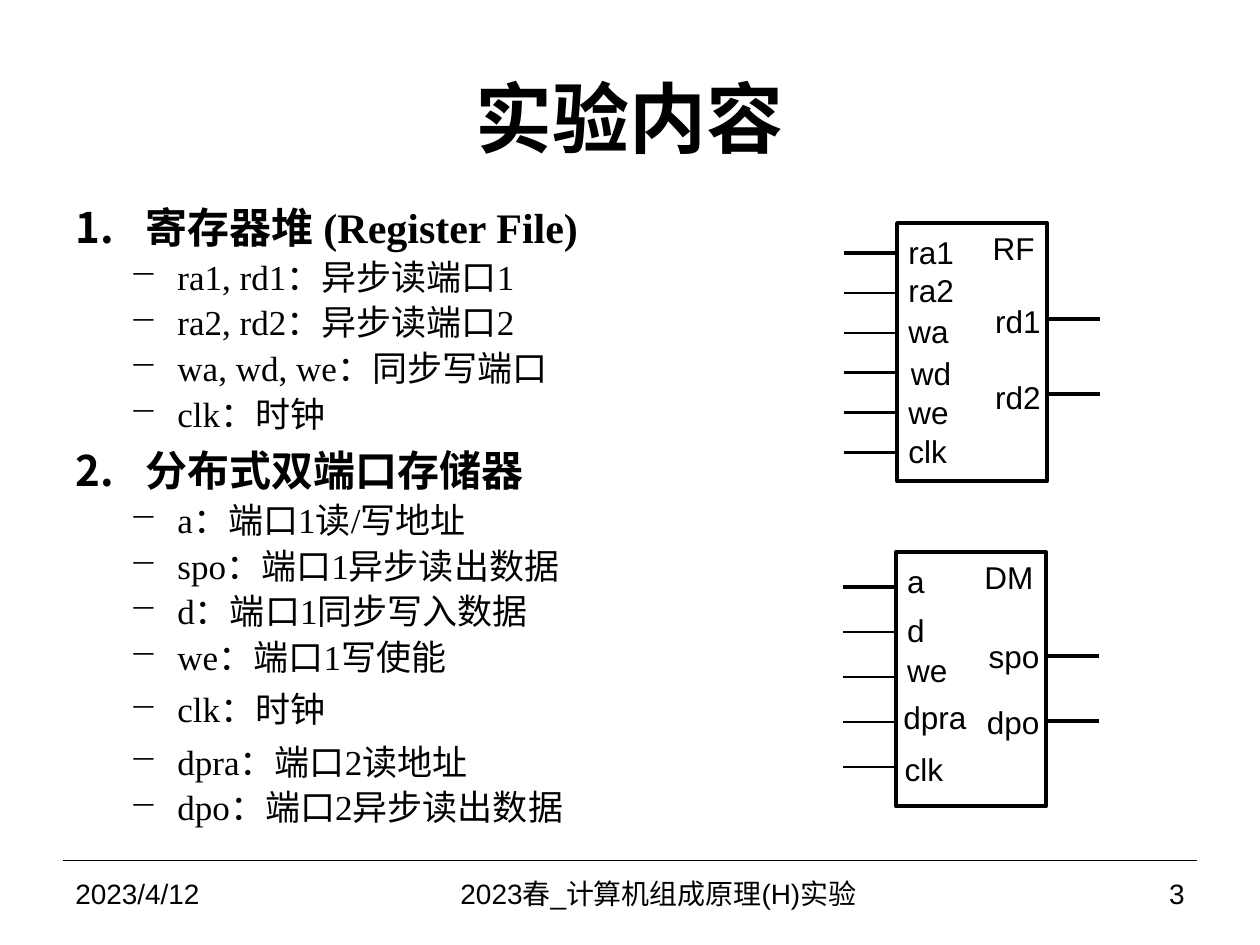
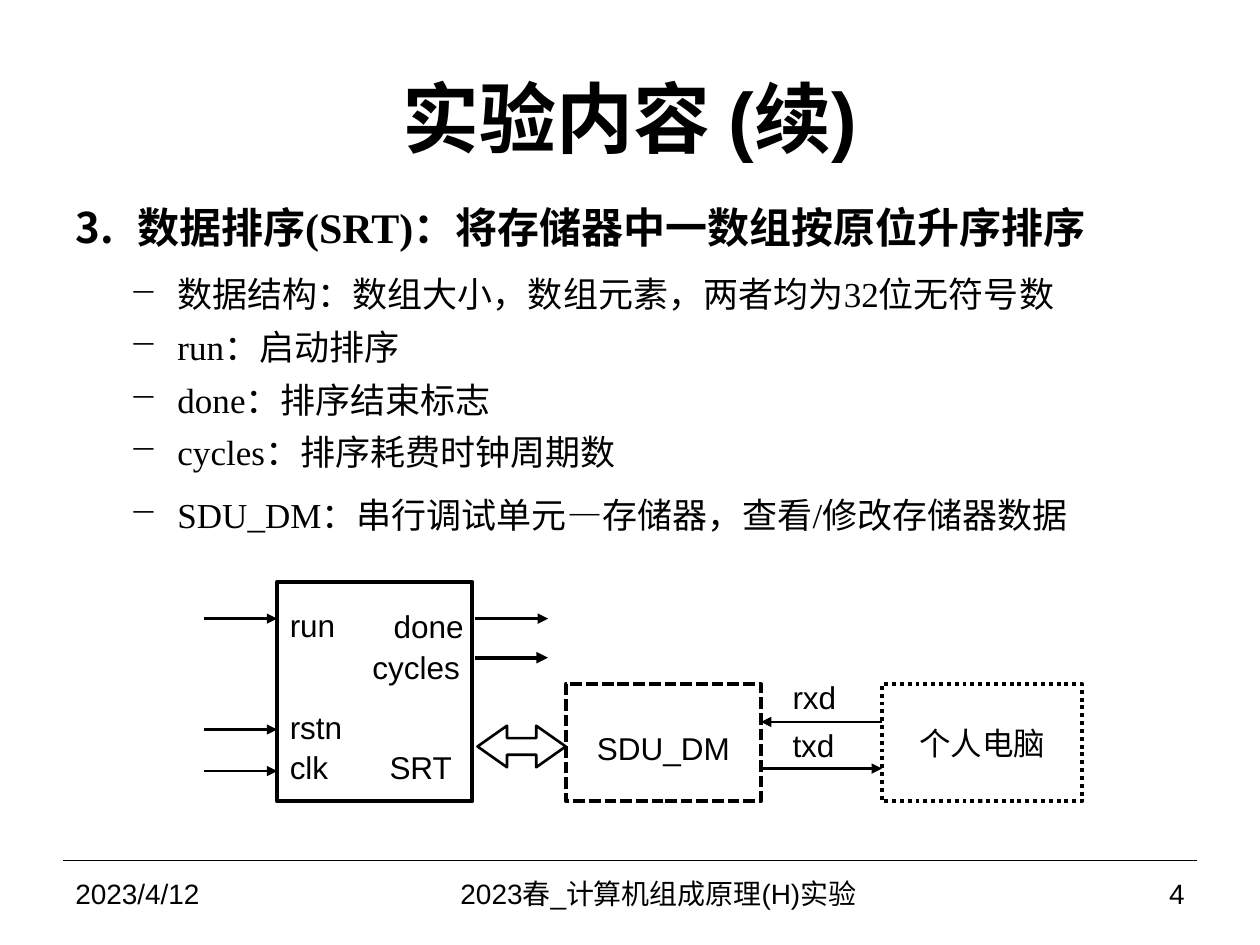
from lxml import etree
from pptx import Presentation
from pptx.dml.color import RGBColor
from pptx.enum.dml import MSO_LINE
from pptx.enum.shapes import MSO_CONNECTOR, MSO_SHAPE
from pptx.enum.text import MSO_ANCHOR, PP_ALIGN
from pptx.oxml.ns import qn
from pptx.util import Inches, Pt

LEFT, CENTER, RIGHT = PP_ALIGN.LEFT, PP_ALIGN.CENTER, PP_ALIGN.RIGHT
TOP, MIDDLE, BOTTOM = MSO_ANCHOR.TOP, MSO_ANCHOR.MIDDLE, MSO_ANCHOR.BOTTOM
RECTANGLE, DOUBLE_ARROW = MSO_SHAPE.RECTANGLE, MSO_SHAPE.LEFT_RIGHT_ARROW
DASHED, DOTTED = MSO_LINE.SQUARE_DOT, MSO_LINE.ROUND_DOT
STRAIGHT = MSO_CONNECTOR.STRAIGHT

BLACK = "000000"
SANS, SERIF = "Arial", "Times New Roman"
WIDTH, HEIGHT = 10, 7.5
MARGIN = 0.05 * WIDTH
CONTENT_WIDTH = WIDTH - 2 * MARGIN
FOOTER_TOP, FOOTER_HEIGHT = 6.83, 0.52
BODY_TOP = 1.55
DEFAULT_INSETS = (0.1, 0.05, 0.1, 0.05)
NO_INSETS = (0, 0, 0, 0)
THIN, THICK = 1.5, 2.25
LABEL_HEIGHT = 0.3
WIRE = 0.42      # length of a pin of a memory block
ARROW = 0.58     # length of a signal of the sorter


def color(hex_string):
    """Turn a hex string into a colour."""
    return RGBColor.from_string(hex_string)


def inches(*lengths):
    """Convert lengths in inches to slide units."""
    return [Inches(length) for length in lengths]


def format_runs(paragraph, size, font=SANS, bold=False):
    """Give every run of a paragraph its font."""
    for run in paragraph.runs:
        run.font.size = Pt(size)
        run.font.name = font
        run.font.bold = bold
        run.font.color.rgb = color(BLACK)


def set_text(shape, text, size, align, anchor, insets, wrap=True, bold=False):
    """Write one formatted paragraph into a shape."""
    frame = shape.text_frame
    frame.text = text
    frame.word_wrap = wrap
    frame.vertical_anchor = anchor
    (frame.margin_left, frame.margin_top,
     frame.margin_right, frame.margin_bottom) = inches(*insets)
    paragraph = frame.paragraphs[0]
    paragraph.alignment = align
    format_runs(paragraph, size, bold=bold)


def add_text(shapes, box, text, size, align=LEFT, insets=DEFAULT_INSETS,
             bold=False):
    """Add a vertically centred text box."""
    shape = shapes.add_textbox(*inches(*box))
    set_text(shape, text, size, align, MIDDLE, insets, bold=bold)


def add_label(shapes, text, x, center, align=LEFT):
    """Add a signal name whose left or right edge lies at x."""
    width = 0.9
    left = x - width if align == RIGHT else x
    box = (left, center - LABEL_HEIGHT / 2, width, LABEL_HEIGHT)
    add_text(shapes, box, text, 18, align, NO_INSETS)


def add_outline(shapes, kind, box, weight, dash=None):
    """Add an unfilled black shape."""
    shape = shapes.add_shape(kind, *inches(*box))
    shape.shadow.inherit = False
    shape.fill.background()
    shape.line.color.rgb = color(BLACK)
    shape.line.width = Pt(weight)
    if dash:
        shape.line.dash_style = dash
    return shape


def add_block(shapes, box, text, align, anchor=TOP, insets=DEFAULT_INSETS,
              dash=None):
    """Add a rectangle of the block diagram with its name."""
    shape = add_outline(shapes, RECTANGLE, box, THICK, dash)
    set_text(shape, text, 18, align, anchor, insets, wrap=False)


def add_line(shapes, start, end, y, weight, arrow=False):
    """Add a level line, optionally with an arrowhead at its end."""
    line = shapes.add_connector(STRAIGHT, *inches(start, y, end, y))
    line.line.color.rgb = color(BLACK)
    line.line.width = Pt(weight)
    if arrow:
        etree.SubElement(line.line._get_or_add_ln(), qn("a:tailEnd"),
                         type="triangle")
    etree.SubElement(line._element.spPr, qn("a:effectLst"))


def set_bullet(paragraph, level, indent, hanging, start):
    """Number a heading or put a dash before an item."""
    properties = paragraph._p.get_or_add_pPr()
    properties.set("marL", str(Inches(indent)))
    properties.set("indent", str(-Inches(hanging)))
    if level:
        etree.SubElement(properties, qn("a:buChar"), char="−")
        return
    number = etree.SubElement(properties, qn("a:buAutoNum"),
                              type="arabicPeriod")
    if start > 1:
        number.set("startAt", str(start))


def add_outline_text(slide, width, height, heading_indent, items, start=1):
    """Add the list; items hold level, text, space before and after."""
    box = slide.shapes.add_textbox(*inches(MARGIN, BODY_TOP, width, height))
    frame = box.text_frame
    frame.word_wrap = True
    frame.text = "\n".join(text for _, text, _, _ in items)
    for paragraph, (level, _, before, after) in zip(frame.paragraphs, items):
        paragraph.level = level
        paragraph.space_before = Pt(before)
        paragraph.space_after = Pt(after)
        indent, hanging = (0.81, 0.38) if level else (heading_indent,) * 2
        set_bullet(paragraph, level, indent, hanging, start)
        format_runs(paragraph, 20 if level else 24, SERIF, not level)


def add_slide(presentation, title, number):
    """Add a slide with title, footer rule and footer texts."""
    slide = presentation.slides.add_slide(presentation.slide_layouts[6])
    shapes = slide.shapes
    add_line(shapes, MARGIN, WIDTH - MARGIN, FOOTER_TOP, 0.75)
    add_text(shapes, (MARGIN, 0.04 * HEIGHT, CONTENT_WIDTH, 1.25), title, 44,
             CENTER, bold=True)
    left = MARGIN
    for text, width, align in (("2023/4/12", 2.33, LEFT),
                               ("2023春_计算机组成原理(H)实验 ", 4.84, CENTER),
                               (str(number), 1.83, RIGHT)):
        add_text(shapes, (left, FOOTER_TOP, width, FOOTER_HEIGHT), text, 16,
                 align)
        left += width
    return slide


def add_memory(slide, name, box, first_wire, pitch, inputs, outputs):
    """Add a memory block; pins hold a name, a label centre and a place."""
    shapes = slide.shapes.add_group_shape().shapes
    left, _, width, _ = box
    right = left + width
    add_block(shapes, box, name, RIGHT)
    for row, (text, center, offset) in enumerate(inputs):
        add_line(shapes, left - WIRE, left, first_wire + row * pitch,
                 THIN if row else THICK)
        add_label(shapes, text, left + offset, center)
    for text, center, wire in outputs:
        add_line(shapes, right, right + WIRE, wire, THICK)
        add_label(shapes, text, right - 0.05, center, RIGHT)


def add_sorter(slide):
    """Add the sorter block with its signals."""
    shapes = slide.shapes.add_group_shape().shapes
    left, width = 2.2, 1.55
    right = left + width
    add_block(shapes, (left, 4.62, width, 1.74), "SRT ", RIGHT, BOTTOM,
              (0, 0.05, 0.1, 0.12))
    for text, center, wire in (("run", 4.96, 4.91), ("rstn", 5.77, 5.79),
                               ("clk", 6.09, 6.12)):
        add_line(shapes, left - ARROW, left, wire, THIN, arrow=True)
        add_label(shapes, text, left + 0.1, center)
    for text, center, wire, edge, weight in (
            ("done", 4.97, 4.91, 3.68, THIN),
            ("cycles", 5.29, 5.22, 3.65, THICK)):
        add_line(shapes, right + 0.02, right + 0.02 + ARROW, wire, weight,
                 arrow=True)
        add_label(shapes, text, edge, center, RIGHT)


def add_debug_link(slide):
    """Add the debug unit, the computer and the links between them."""
    shapes = slide.shapes.add_group_shape().shapes
    top, height = 5.43, 0.93
    unit_left, unit_right, computer_left = 4.49, 6.04, 7
    add_block(shapes, (unit_left, top, unit_right - unit_left, height),
              "SDU_DM", CENTER, MIDDLE, (0, 0.08, 0, 0), DASHED)
    add_block(shapes, (computer_left, top, 1.59, height), "个人电脑", CENTER,
              MIDDLE, NO_INSETS, DOTTED)
    for text, center, wire, start, end in (
            ("rxd", 5.53, 5.73, computer_left, unit_right),
            ("txd", 5.91, 6.1, unit_right, computer_left)):
        add_line(shapes, start, end, wire, THIN, arrow=True)
        add_label(shapes, text, 6.29, center)
    arrow = add_outline(shapes, DOUBLE_ARROW, (3.79, 5.76, 0.7, 0.33), THIN)
    arrow.adjustments[0], arrow.adjustments[1] = 0.4, 0.71


def build_memories(presentation):
    """Build the slide on the register file and the memory."""
    slide = add_slide(presentation, "实验内容", 3)
    add_outline_text(slide, 4.58, 5.28, 0.56, [
        (0, "寄存器堆 (Register File)", 0, 0),
        (1, "ra1, rd1：异步读端口1", 2, 0),
        (1, "ra2, rd2：异步读端口2", 2, 0),
        (1, "wa, wd, we：同步写端口", 2, 0),
        (1, "clk：时钟", 2, 0),
        (0, "分布式双端口存储器", 6, 0),
        (1, "a：端口1读/写地址", 2, 0),
        (1, "spo：端口1异步读出数据", 2, 0),
        (1, "d：端口1同步写入数据", 2, 0),
        (1, "we：端口1写使能", 2, 0),
        (1, "clk：时钟", 6, 0),
        (1, "dpra：端口2读地址", 6, 0),
        (1, "dpo：端口2异步读出数据", 2, 0)])
    add_memory(slide, "RF", (7.12, 1.77, 1.19, 2.05), 2.01, 0.316,
               [("ra1", 2, 0.09), ("ra2", 2.3, 0.09), ("wa", 2.63, 0.09),
                ("wd", 2.96, 0.11), ("we", 3.27, 0.09), ("clk", 3.58, 0.09)],
               [("rd1", 2.55, 2.53), ("rd2", 3.15, 3.13)])
    add_memory(slide, "DM", (7.11, 4.38, 1.19, 2.02), 4.66, 0.357,
               [("a", 4.61, 0.09), ("d", 5, 0.09), ("we", 5.32, 0.09),
                ("dpra", 5.69, 0.06), ("clk", 6.1, 0.07)],
               [("spo", 5.21, 5.21), ("dpo", 5.73, 5.72)])


def build_sorting(presentation):
    """Build the slide on sorting."""
    slide = add_slide(presentation, "实验内容 (续)", 4)
    add_outline_text(slide, 8.91, 5.19, 0.49, [
        (0, "数据排序(SRT)：将存储器中一数组按原位升序排序", 0, 6),
        (1, "数据结构：数组大小，数组元素，两者均为32位无符号数", 6, 0),
        (1, "run：启动排序", 6, 0),
        (1, "done：排序结束标志", 6, 0),
        (1, "cycles：排序耗费时钟周期数", 6, 0),
        (1, "SDU_DM：串行调试单元—存储器，查看/修改存储器数据", 12, 6)],
        start=3)
    add_sorter(slide)
    add_debug_link(slide)


def main():
    """Build and save the presentation."""
    presentation = Presentation()
    presentation.slide_width, presentation.slide_height = inches(WIDTH, HEIGHT)
    build_memories(presentation)
    build_sorting(presentation)
    presentation.save("out.pptx")


main()
